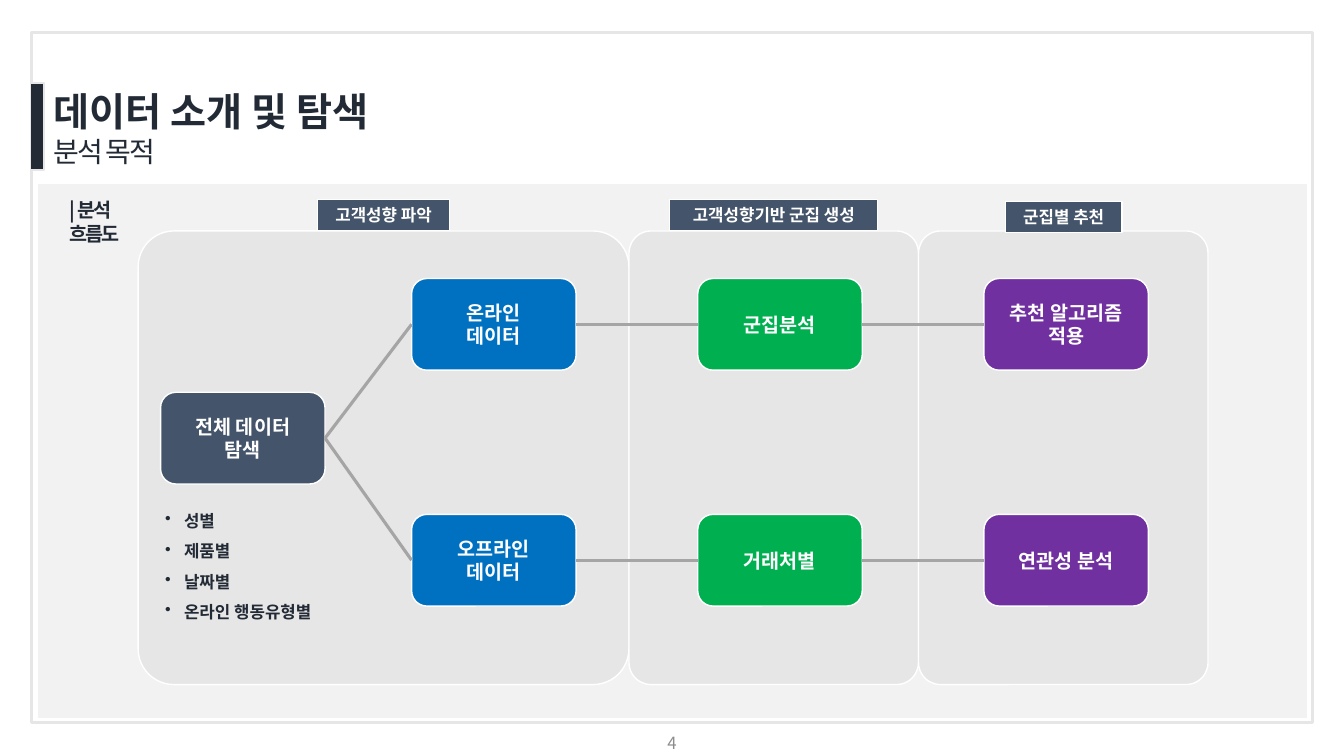
from lxml import etree
from pptx import Presentation
from pptx.dml.color import RGBColor
from pptx.enum.shapes import MSO_CONNECTOR, MSO_SHAPE
from pptx.enum.text import MSO_ANCHOR, PP_ALIGN
from pptx.oxml.ns import qn
from pptx.util import Pt

RECT, ROUNDED = MSO_SHAPE.RECTANGLE, MSO_SHAPE.ROUNDED_RECTANGLE
STRAIGHT = MSO_CONNECTOR.STRAIGHT
TOP, MIDDLE = MSO_ANCHOR.TOP, MSO_ANCHOR.MIDDLE
LEFT, CENTER = PP_ALIGN.LEFT, PP_ALIGN.CENTER
LEFT_SIDE, RIGHT_SIDE = 1, 3

FONT = "Noto Sans CJK KR"
COLORS = {
    "white": "FFFFFF", "frame": "E7E6E6", "panel": "F2F2F2", "ink": "222A35",
    "slate": "44546A", "blue": "0070C0", "green": "00B050", "purple": "7030A0",
    "link": "A5A5A5", "page": "8C8C8C",
}

TITLE, SUBTITLE = "데이터 소개 및 탐색", "분석 목적"
FLOW_LABEL = "| 분석 흐름도"
PAGE_NUMBER = "4"
EXPLORED_BY = ["성별", "제품별", "날짜별", "온라인 행동유형별"]
START = ["전체 데이터", "탐색"]
STEPS = [
    ("blue", ["온라인", "데이터"], ["오프라인", "데이터"]),
    ("green", ["군집분석"], ["거래처별"]),
    ("purple", ["추천 알고리즘", "적용"], ["연관성 분석"]),
]
STAGES = [
    ("고객성향 파악", 350.6, 0.079, (226.8, 142.6, 94.5)),
    ("고객성향기반 군집 생성", 206.8, 0.076, (478.5, 142.6, 148.6)),
    ("군집별 추천", 206.8, 0.076, (718.1, 144, 83.4)),
]

STAGE_LEFT, STAGE_TOP, STAGE_HEIGHT = 98.7, 165, 324
TAG_HEIGHT = 21.8
NODE_WIDTH, NODE_HEIGHT = 117.5, 65.5
START_LEFT, START_TOP = 114.7, 280.2
STEP_LEFT, STEP_PITCH = 294, 204.4
ROW_TOPS = (198.9, 367.4)


def color(name):
    return RGBColor.from_string(COLORS[name])


def write(box, lines, size, ink, bold=True, align=LEFT, anchor=TOP):
    frame = box.text_frame
    frame.word_wrap = True
    frame.vertical_anchor = anchor
    frame.text = "\n".join(lines)
    for paragraph in frame.paragraphs:
        paragraph.alignment = align
        style(paragraph, size, ink, bold)
    return frame


def style(paragraph, size, ink, bold):
    font = paragraph.font
    font.name, font.size, font.bold = FONT, Pt(size), bold
    font.color.rgb = color(ink)
    defaults = paragraph._p.pPr.find(qn("a:defRPr"))
    for east_asian in defaults.findall(qn("a:ea")):
        defaults.remove(east_asian)
    etree.SubElement(defaults, qn("a:ea")).set("typeface", FONT)


def tighten(paragraph):
    for run in paragraph.runs:
        run._r.get_or_add_rPr().set("spc", "-150")


def add_bullet(paragraph):
    properties = paragraph._p.get_or_add_pPr()
    properties.set("marL", str(Pt(13.5)))
    properties.set("indent", str(Pt(-13.5)))
    paragraph.line_spacing = 1.5
    bullet = etree.Element(qn("a:buChar"), char="•")
    properties.find(qn("a:lnSpc")).addnext(bullet)


def add_box(shapes, kind, bounds, fill, line="white", weight=1, corner=None):
    box = shapes.add_shape(kind, *map(Pt, bounds))
    box.shadow.inherit = False
    if fill:
        box.fill.solid()
        box.fill.fore_color.rgb = color(fill)
    else:
        box.fill.background()
    box.line.color.rgb = color(line)
    box.line.width = Pt(weight)
    if corner is not None:
        box.adjustments[0] = corner
    return box


def add_text(shapes, bounds, lines, size, ink, **options):
    return write(shapes.add_textbox(*map(Pt, bounds)), lines, size, ink, **options)


def add_node(shapes, left, top, fill, lines):
    node = add_box(shapes, ROUNDED, (left, top, NODE_WIDTH, NODE_HEIGHT), fill)
    write(node, lines, 14, "white", align=CENTER, anchor=MIDDLE)
    return node


def link(shapes, source, target):
    connector = shapes.add_connector(STRAIGHT, 0, 0, 0, 0)
    connector.begin_connect(source, RIGHT_SIDE)
    connector.end_connect(target, LEFT_SIDE)
    connector.line.color.rgb = color("link")
    connector.line.width = Pt(2.25)
    etree.SubElement(connector._element.spPr, qn("a:effectLst"))


def main():
    """Build the slide on the purpose and flow of the data analysis."""
    deck = Presentation()
    deck.slide_width, deck.slide_height = Pt(960), Pt(540)
    shapes = deck.slides.add_slide(deck.slide_layouts[6]).shapes

    add_box(shapes, RECT, (22.3, 23, 915.1, 493.2), None, "frame", 2.25)
    add_box(shapes, ROUNDED, (26.8, 131.2, 907, 382.4), "panel", corner=0)
    left = STAGE_LEFT
    for _, width, corner, _ in STAGES:
        add_box(shapes, ROUNDED, (left, STAGE_TOP, width, STAGE_HEIGHT), "frame", corner=corner)
        left += width

    heading = add_text(shapes, (31.4, 59, 272.2, 65.4), [TITLE, SUBTITLE], 28, "ink")
    style(heading.paragraphs[1], 20, "ink", False)
    tighten(heading.paragraphs[1])
    add_box(shapes, RECT, (21.6, 59.2, 9.8, 62.4), "ink", "frame")

    start = add_node(shapes, START_LEFT, START_TOP, "slate", START)
    rows = [[start], [start]]
    for column, (fill, *labels) in enumerate(STEPS):
        for row, top, lines in zip(rows, ROW_TOPS, labels):
            row.append(add_node(shapes, STEP_LEFT + column * STEP_PITCH, top, fill, lines))
    for row in rows:
        for source, target in zip(row, row[1:]):
            link(shapes, source, target)

    flow = add_text(shapes, (42.5, 138.2, 79.9, 24.5), [FLOW_LABEL], 14, "ink")
    flow.margin_right = Pt(24)
    tighten(flow.paragraphs[0])

    explored = shapes.add_textbox(*map(Pt, (110.9, 354.2, 130.3, 113.8)))
    explored.text_frame.text = "\n".join(EXPLORED_BY)
    for paragraph in explored.text_frame.paragraphs:
        add_bullet(paragraph)
        style(paragraph, 12, "ink", True)
    explored.text_frame.word_wrap = True

    for label, _, _, (left, top, width) in STAGES:
        tag = add_box(shapes, RECT, (left, top, width, TAG_HEIGHT), "slate", weight=0.75)
        write(tag, [label], 12, "white", align=CENTER)

    add_text(shapes, (372, 516.3, 216, 28.1), [PAGE_NUMBER], 12, "page",
             bold=False, align=CENTER, anchor=MIDDLE)
    deck.save("out.pptx")


if __name__ == "__main__":
    main()
